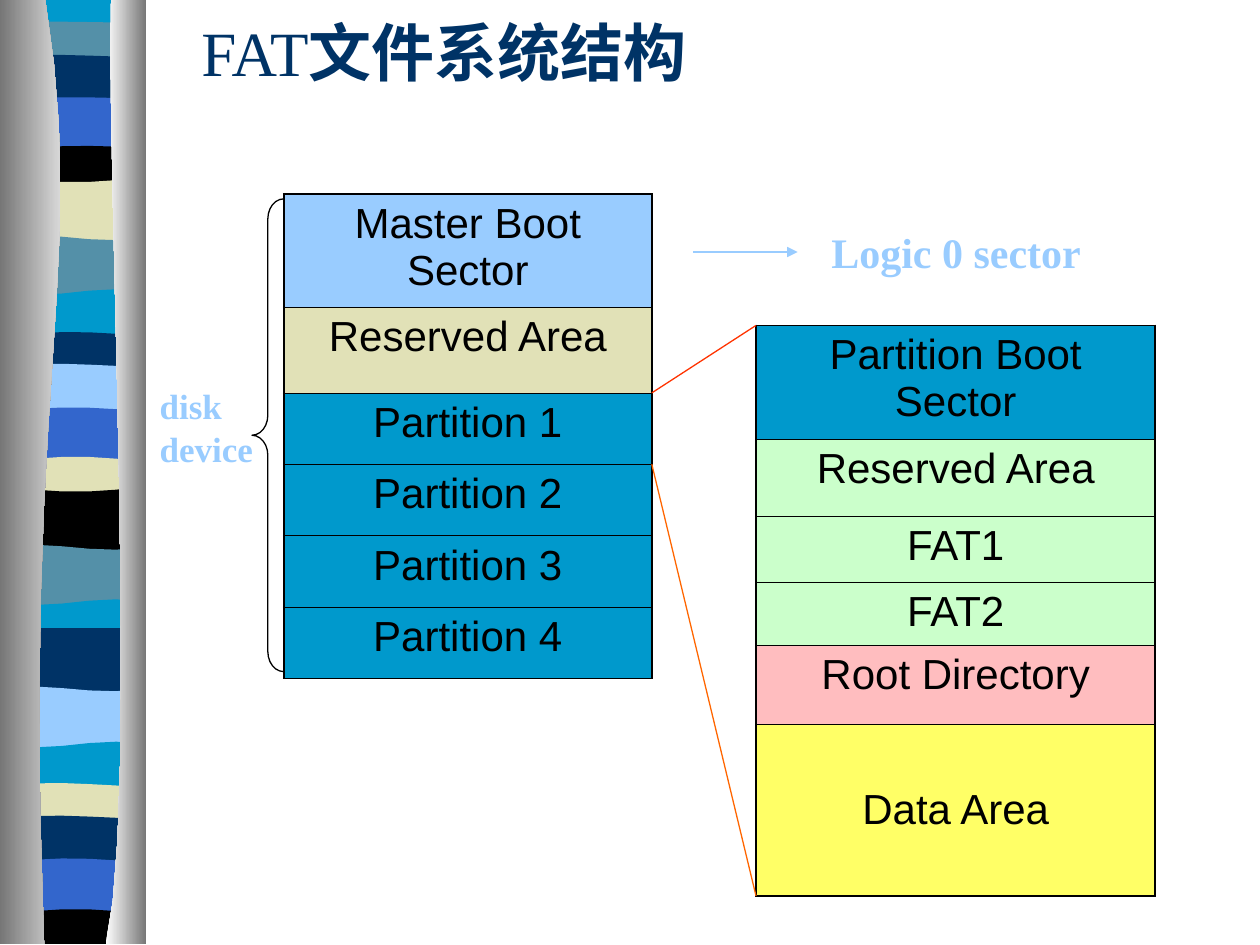
"""Build the FAT file system structure slide."""
from lxml import etree
from pptx import Presentation, util as u
from pptx.dml.color import RGBColor
from pptx.enum import shapes as kinds, text as txt
from pptx.oxml import ns

THEME = {
    "navy": "003366", "cyan": "0099CC", "sky": "99CCFF", "royal": "3366CC",
    "steel": "5490A8", "sand": "E1E1B7", "black": "000000", "mint": "99FF99",
    "rose": "FF7C80", "yellow": "FFFF66", "orange": "FF6600", "red": "FF3300",
    "shade": "767676", "pale": "D8D8D8", "white": "FFFFFF",
    "serif": "Times New Roman", "sans": "Arial",
    "title": 36, "body": 24, "label": 20,
    "rule": 0.75, "frame": 1.08, "divider": 0.45,
}
TITLE = [("FAT", False), ("文件系统结构", True)]
DISK = {
    "left": 5.72, "top": 3.91, "width": 7.42,
    "rows": [("Master Boot Sector", 2.29, "sky"), ("Reserved Area", 1.72, "sand")]
            + [(f"Partition {n}", 1.44, "cyan") for n in range(1, 5)],
}
PARTITION = {
    "left": 15.24, "top": 6.56, "width": 8.05,
    "rows": [("Partition Boot Sector", 2.29, "cyan"), ("Reserved Area", 1.56, "mint"),
             ("FAT1", 1.32, "mint"), ("FAT2", 1.28, "mint"),
             ("Root Directory", 1.6, "rose"), ("Data Area", 3.45, "yellow")],
}
TRANSLUCENT = {"mint", "rose"}
RIBBON = [
    ("cyan", -0.03, 0, 0), ("steel", 0.46, -0.05, 0), ("navy", 1.15, -0.1, 0),
    ("royal", 2, -0.05, -0.05), ("black", 3, -0.05, -0.1), ("sand", 3.56, 0.15, 0.15),
    ("steel", 4.78, -0.15, 0.2), ("cyan", 5.89, 0.2, -0.2), ("navy", 6.78, -0.13, -0.1),
    ("sky", 7.39, -0.13, 0), ("royal", 8.3, -0.13, -0.1), ("sand", 9.32, -0.15, -0.15),
    ("black", 9.8, 0.15, 0.15), ("steel", 11.02, -0.15, 0.2), ("cyan", 12.14, 0.2, -0.2),
    ("navy", 12.67, 0, 0), ("sky", 13.87, -0.13, 0.2), ("cyan", 15.01, 0.2, -0.2),
    ("sand", 15.85, -0.15, 0), ("navy", 16.5, -0.13, 0), ("royal", 17.4, -0.15, -0.1),
    ("black", 18.44, -0.15, -0.15),
]
RIBBON_X = (0.15, 1.07, 1.98, 2.9)
RIBBON_END = 19.03
OVERLAP = 0.25
PILLARS = [
    (0, [(0.91, -0.03), (1.8, 5.49), (0.43, 7.52), (0.89, 19.03)], ("shade", "pale")),
    (2.95, [(2.24, -0.03), (2.13, 3.18), (2.82, 16.41), (2.13, 19.03)], ("white", "shade")),
]


def rgb(name):
    return RGBColor.from_string(THEME[name])


def assign(target, values):
    for key, value in values.items():
        setattr(target, key, value)


def curve(controls, steps):
    weights = [((1 - t) ** 3, 3 * t * (1 - t) ** 2, 3 * t * t * (1 - t), t ** 3)
               for t in (i / steps for i in range(steps + 1))]
    return [tuple(sum(w * point[axis] for w, point in zip(row, controls)) for axis in (0, 1))
            for row in weights]


def outline(slide, points):
    (x, y), *rest = [(u.Cm(x), u.Cm(y)) for x, y in points]
    builder = slide.shapes.build_freeform(x, y)
    builder.add_line_segments(rest, close=True)
    area = builder.convert_to_shape()
    area.shadow.inherit = False
    area.line.fill.background()
    return area


def draw_ribbon(slide):
    ends = [min(row[1] + OVERLAP, RIBBON_END) for row in RIBBON[1:]] + [RIBBON_END]
    left, *_, right = RIBBON_X
    for (colour, y, bend_in, bend_out), end in zip(RIBBON, ends):
        controls = list(zip(RIBBON_X, (y, y + bend_in, y + bend_out, y)))
        crest = curve(controls, 5 if bend_in or bend_out else 1)
        band = outline(slide, crest + [(right, end), (left, end)])
        band.fill.solid()
        band.fill.fore_color.rgb = rgb(colour)
    for side, controls, shades in PILLARS:
        pillar = outline(slide, curve(controls, 12) + [(side, RIBBON_END), (side, -0.03)])
        pillar.fill.gradient()
        pillar.fill.gradient_angle = 0
        for stop, shade in zip(pillar.fill.gradient_stops, shades):
            stop.color.rgb = rgb(shade)


def write(paragraph, runs, size, face, colour, **layout):
    assign(paragraph, layout)
    for words, bold in runs:
        run = paragraph.add_run()
        run.text = words
        assign(run.font, {"size": u.Pt(size), "name": face, "bold": bold})
        run.font.color.rgb = rgb(colour)


def add_label(slide, box, lines, size, colour, anchor=txt.MSO_ANCHOR.TOP, **layout):
    frame = slide.shapes.add_textbox(*map(u.Cm, box)).text_frame
    assign(frame, {"word_wrap": True, "vertical_anchor": anchor})
    for i, runs in enumerate(lines):
        paragraph = frame.add_paragraph() if i else frame.paragraphs[0]
        write(paragraph, runs, size, THEME["serif"], colour, **layout)


def border(cell, side, width):
    props = cell._tc.get_or_add_tcPr()
    edge = etree.SubElement(props, ns.qn(f"a:ln{side}"), w=str(int(u.Pt(width))))
    fill = etree.SubElement(edge, ns.qn("a:solidFill"))
    etree.SubElement(fill, ns.qn("a:srgbClr"), val=THEME["black"])


def add_map(slide, left, top, width, rows):
    height = sum(row[1] for row in rows)
    table = slide.shapes.add_table(len(rows), 1, *map(u.Cm, (left, top, width, height))).table
    assign(table, {"first_row": False, "horz_banding": False})
    for i, (words, tall, colour) in enumerate(rows):
        table.rows[i].height = u.Cm(tall)
        cell = table.cell(i, 0)
        frame, divider = THEME["frame"], THEME["divider"]
        edges = {"L": frame, "R": frame, "T": divider if i else frame,
                 "B": divider if i < len(rows) - 1 else frame}
        for side, weight in edges.items():
            border(cell, side, weight)
        cell.fill.solid()
        cell.fill.fore_color.rgb = rgb(colour)
        if colour in TRANSLUCENT:
            tint = cell._tc.tcPr.find(ns.qn("a:solidFill")).find(ns.qn("a:srgbClr"))
            etree.SubElement(tint, ns.qn("a:alpha"), val="50000")
        if words == "Data Area":
            cell.vertical_anchor = txt.MSO_ANCHOR.MIDDLE
        write(cell.text_frame.paragraphs[0], [(words, False)], THEME["body"], THEME["sans"],
              "black", alignment=txt.PP_ALIGN.CENTER, space_before=u.Pt(6))


def add_rule(slide, start, end, colour, arrow=False):
    rule = slide.shapes.add_connector(kinds.MSO_CONNECTOR.STRAIGHT, *map(u.Cm, start + end))
    rule.line.width = u.Pt(THEME["rule"])
    rule.line.color.rgb = rgb(colour)
    etree.SubElement(rule._element.spPr, ns.qn("a:effectLst"))
    if arrow:
        etree.SubElement(rule.line._get_or_add_ln(), ns.qn("a:tailEnd"), type="triangle")


def add_brace(slide):
    brace = slide.shapes.add_shape(kinds.MSO_SHAPE.LEFT_BRACE,
                                   *map(u.Cm, (5.08, 4.01, 0.64, 9.53)))
    brace.shadow.inherit = False
    brace.adjustments[0] = 0.63
    brace.fill.background()
    brace.line.width = u.Pt(THEME["rule"])
    brace.line.color.rgb = rgb("black")


def main():
    deck = Presentation()
    assign(deck, {"slide_width": u.Cm(25.4), "slide_height": u.Cm(19.05)})
    slide = deck.slides.add_slide(deck.slide_layouts[6])
    draw_ribbon(slide)
    add_label(slide, (3.81, 0, 21.59, 2.08), [TITLE], THEME["title"], "navy",
              txt.MSO_ANCHOR.MIDDLE)
    add_map(slide, **PARTITION)
    add_map(slide, **DISK)
    disk_edge = DISK["left"] + DISK["width"]
    first_top = DISK["top"] + sum(row[1] for row in DISK["rows"][:2])
    first_end = first_top + DISK["rows"][2][1]
    zoom_end = PARTITION["top"] + sum(row[1] for row in PARTITION["rows"])
    add_rule(slide, (disk_edge, first_end), (PARTITION["left"], zoom_end), "orange")
    add_rule(slide, (disk_edge, first_top), (PARTITION["left"], PARTITION["top"]), "red")
    add_brace(slide)
    add_label(slide, (2.97, 8, 3.81, 1.55), [[("disk", True)], [("device", True)]],
              THEME["label"], "sky", line_spacing=0.5, space_before=u.Pt(12.5))
    add_rule(slide, (13.97, 5.08), (16.08, 5.08), "sky", arrow=True)
    add_label(slide, (16.51, 4.45, 6.15, 1.27), [[("Logic 0 sector", True)]],
              THEME["body"], "sky", space_before=u.Pt(15))
    deck.save("out.pptx")


if __name__ == "__main__":
    main()
